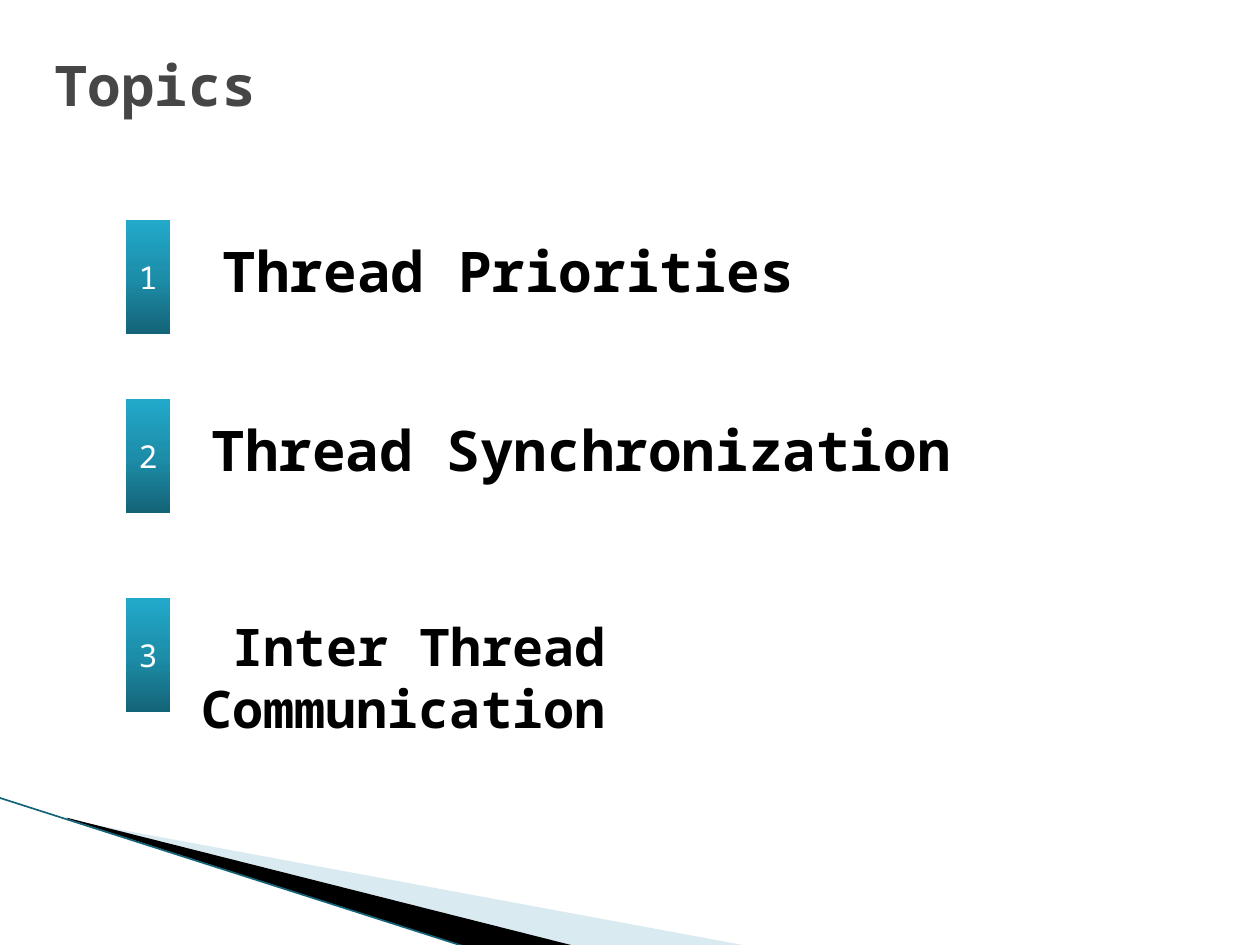
from copy import deepcopy
from lxml import etree
from pptx import Presentation
from pptx.dml.color import RGBColor
from pptx.enum.shapes import MSO_CONNECTOR, MSO_SHAPE
from pptx.enum.text import MSO_ANCHOR, PP_ALIGN
from pptx.oxml.ns import qn
from pptx.util import Inches, Pt

RECT = MSO_SHAPE.RECTANGLE
LINE = MSO_CONNECTOR.STRAIGHT
MIDDLE = MSO_ANCHOR.MIDDLE
LEFT, CENTER = PP_ALIGN.LEFT, PP_ALIGN.CENTER
FONT = "Noto Sans Mono"
COLORS = {"title": "464646", "text": "000000", "white": "FFFFFF",
          "pale": "A0CBDC", "dark": "146478", "mid": "1D8EAA", "light": "22A9CA"}


def color(name):
    return RGBColor.from_string(COLORS[name])


def style(shape, text, size, tint, bold, align):
    shape.text_frame.word_wrap = True
    par = shape.text_frame.paragraphs[0]
    par.text = text
    par.alignment = align
    par.font.name = FONT
    par.font.size = Pt(size)
    par.font.bold = bold
    par.font.color.rgb = color(tint)
    return par


prs = Presentation()
prs.slide_width, prs.slide_height = Inches(10), Inches(7.5)
slide = prs.slides.add_slide(prs.slide_layouts[5])
shapes = slide.shapes

wedges = [
    ("pale", [(0.55, 6.51), (5.95, 7.51), (4.56, 7.51), (0.55, 6.5)]),
    ("text", [(0.53, 6.49), (4.57, 7.51), (3.72, 7.52), (0.54, 6.5)]),
]
for tint, spots in wedges:
    points = [(Inches(x), Inches(y)) for x, y in spots]
    form = shapes.build_freeform(*points[0])
    form.add_line_segments(points[1:])
    wedge = form.convert_to_shape()
    wedge.shadow.inherit = False
    wedge.fill.solid()
    wedge.fill.fore_color.rgb = color(tint)
    wedge.line.fill.background()
    if tint == "pale":
        node = wedge.fill._xPr.find(".//" + qn("a:srgbClr"))
        etree.SubElement(node, qn("a:alpha"), val="40000")

edge = shapes.add_connector(LINE, Inches(-0.01), Inches(6.33), Inches(3.71), Inches(7.52))
edge.line.color.rgb = color("dark")
edge.line.width = Pt(0.95)
etree.SubElement(edge._element.spPr, qn("a:effectLst"))

title = shapes.title
title.left, title.top = Inches(0.33), Inches(0.17)
title.width, title.height = Inches(8.27), Inches(1)
title.text_frame.vertical_anchor = MIDDLE
style(title, "Topics", 32, "title", True, LEFT)

topics = [
    ("Thread Priorities", 1.75, (1.67, 1.83, 7.67, 0.71), 32, 0),
    ("Thread Synchronization", 3.17, (1.58, 3.25, 6.83, 0.83), 32, 0),
    ("Inter Thread Communication", 4.75, (1.5, 4.83, 6.5, 0.71), 29.6, 0.25),
]
for num, (text, top, place, size, indent) in enumerate(topics, 1):
    badge = shapes.add_shape(RECT, Inches(1), Inches(top), Inches(0.35), Inches(0.9))
    badge.shadow.inherit = False
    badge.line.fill.background()
    badge.fill.gradient()
    badge.fill.gradient_angle = 90
    stops = badge._element.spPr.find(".//" + qn("a:gsLst"))
    stops.insert(1, deepcopy(stops[0]))
    for stop, tint, spot in zip(badge.fill.gradient_stops, ("dark", "mid", "light"), (0, 0.5, 1)):
        stop.color.rgb = color(tint)
        stop.position = spot
    frame = badge.text_frame
    frame.vertical_anchor = MIDDLE
    style(badge, str(num), 18, "white", False, CENTER)

    label = shapes.add_textbox(*map(Inches, place))
    par = style(label, text, size, "text", True, LEFT)
    if indent:
        par._p.get_or_add_pPr().set("indent", str(Inches(indent)))

prs.save("out.pptx")
